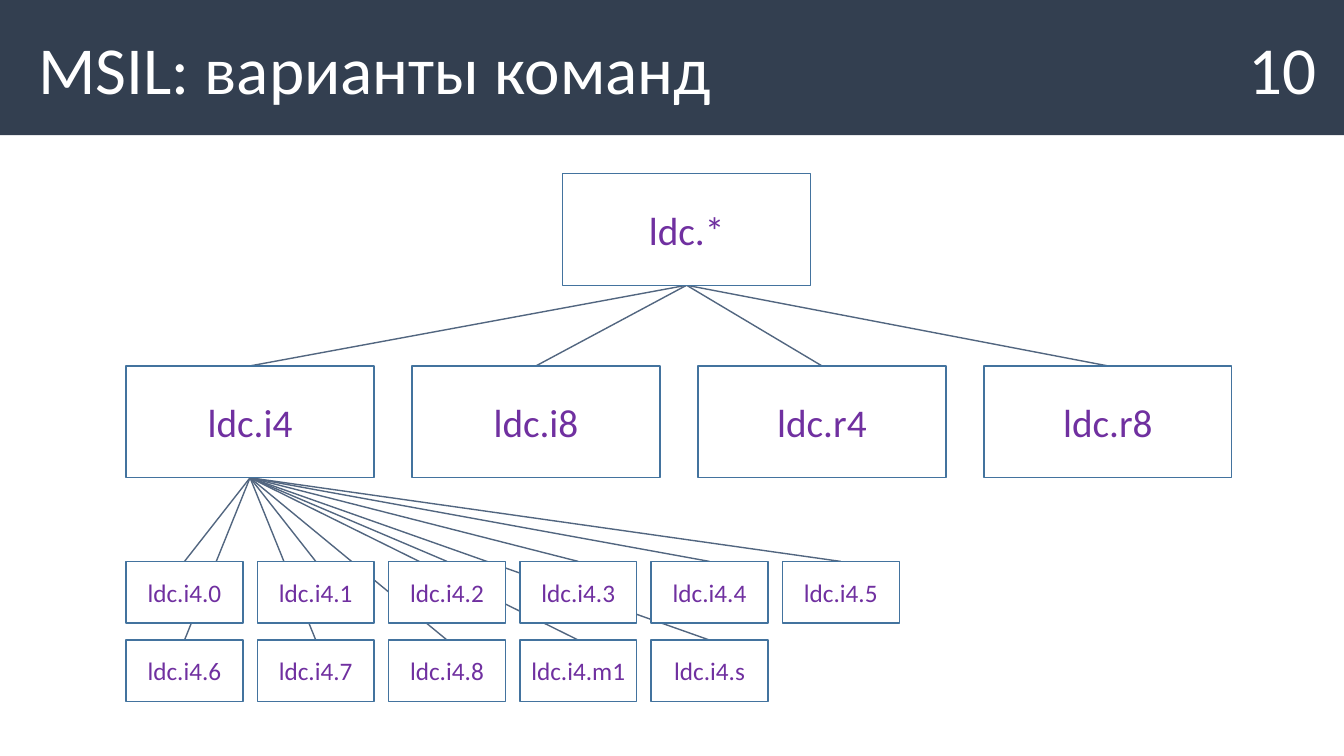
from dataclasses import dataclass

from lxml.etree import SubElement
from pptx import Presentation
from pptx.dml.color import RGBColor
from pptx.enum.shapes import MSO_CONNECTOR, MSO_SHAPE
from pptx.enum.text import MSO_ANCHOR, PP_ALIGN
from pptx.oxml.ns import qn
from pptx.util import Inches, Pt


@dataclass(frozen=True)
class Theme:
    font: str = "Calibri"
    bar: RGBColor = RGBColor(0x33, 0x3F, 0x50)
    white: RGBColor = RGBColor(0xFF, 0xFF, 0xFF)
    code: RGBColor = RGBColor(0x70, 0x30, 0xA0)
    edge: RGBColor = RGBColor(0x43, 0x73, 0x9E)
    link: RGBColor = RGBColor(0x52, 0x66, 0x80)
    head: Pt = Pt(48)
    large: Pt = Pt(28)
    small: Pt = Pt(18)
    line: Pt = Pt(1)


THEME = Theme()
TYPES = ["ldc.i4", "ldc.i8", "ldc.r4", "ldc.r8"]
SHORT = ["0", "1", "2", "3", "4", "5", "6", "7", "8", "m1", "s"]
LEFT = 1.25
COLS = 6


def put_text(shape, text, size, color, align, anchor):
    frame = shape.text_frame
    frame.text = text
    frame.vertical_anchor = anchor
    para = frame.paragraphs[0]
    para.alignment = align
    font = para.runs[0].font
    font.name, font.size, font.color.rgb = THEME.font, size, color


def put_head(shape, text):
    put_text(shape, text, THEME.head, THEME.white, PP_ALIGN.LEFT, MSO_ANCHOR.TOP)
    shape.text_frame.word_wrap = False


def add_rect(slide, x, y, w, h, fill):
    rect = slide.shapes.add_shape(
        MSO_SHAPE.RECTANGLE, Inches(x), Inches(y), Inches(w), Inches(h))
    rect.shadow.inherit = False
    rect.fill.solid()
    rect.fill.fore_color.rgb = fill
    rect.line.fill.background()
    return rect


def add_node(slide, text, x, y, w, h, size):
    node = add_rect(slide, x, y, w, h, THEME.white)
    node.line.color.rgb = THEME.edge
    node.line.width = THEME.line
    put_text(node, text, size, THEME.code, PP_ALIGN.CENTER, MSO_ANCHOR.MIDDLE)
    node.text_frame.word_wrap = False
    return node


def add_link(slide, top, low):
    link = slide.shapes.add_connector(MSO_CONNECTOR.STRAIGHT, 0, 0, 0, 0)
    link.begin_connect(top, 2)
    link.end_connect(low, 0)
    link.line.color.rgb = THEME.link
    link.line.width = THEME.line
    SubElement(link.element.spPr, qn("a:effectLst"))
    # Links lie behind the boxes
    slide.shapes.title.element.addprevious(link.element)


def add_head(slide, text, number):
    bar = add_rect(slide, 0, 0, 13.33, 1.34, THEME.bar)
    title = slide.shapes.title
    title.element.addprevious(bar.element)
    title.left, title.top = Inches(0.28), Inches(0.22)
    title.width, title.height = Inches(6.95), Inches(0.91)
    put_head(title, text)
    page = slide.shapes.add_textbox(
        Inches(12.28), Inches(0.22), Inches(0.89), Inches(0.91))
    put_head(page, number)


def add_tree(slide):
    # Root and the typed commands
    root = add_node(slide, "ldc.*", 5.58, 1.72, 2.46, 1.11, THEME.large)
    types = [add_node(slide, text, LEFT + 2.836 * i, 3.63, 2.46, 1.11, THEME.large)
             for i, text in enumerate(TYPES)]
    for node in types:
        add_link(slide, root, node)

    # Short forms of the first type, in a grid
    for i, end in enumerate(SHORT):
        row, col = divmod(i, COLS)
        leaf = add_node(slide, f"{TYPES[0]}.{end}", LEFT + 1.302 * col,
                        5.57 + 0.78 * row, 1.16, 0.61, THEME.small)
        add_link(slide, types[0], leaf)


def main():
    deck = Presentation()
    deck.slide_width, deck.slide_height = Inches(13.33), Inches(7.5)
    slide = deck.slides.add_slide(deck.slide_layouts[5])
    add_head(slide, "MSIL: варианты команд", "10")
    add_tree(slide)
    deck.save("out.pptx")


if __name__ == "__main__":
    main()
